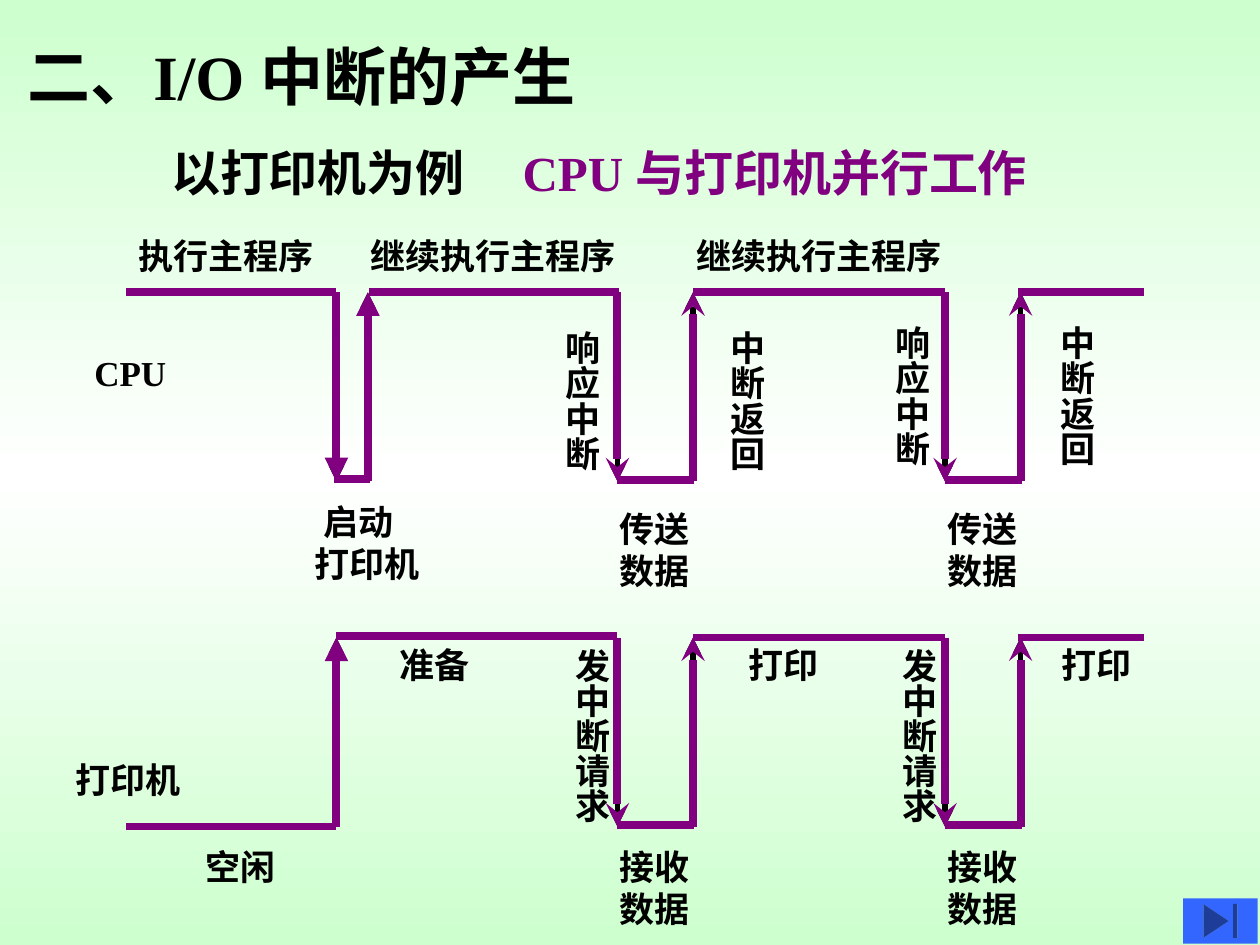
from copy import deepcopy

from lxml import etree
from pptx import Presentation
from pptx import util as u
from pptx.dml.color import RGBColor
from pptx.enum import shapes, text
from pptx.oxml.ns import qn

Inches = u.Inches
BLACK = RGBColor(0x00, 0x00, 0x00)
PURPLE = RGBColor(0x80, 0x00, 0x80)
BLUE = RGBColor(0x33, 0x66, 0xFF)
GREEN = RGBColor(0xCD, 0xFF, 0xCE)
WHITE = RGBColor(0xFF, 0xFF, 0xFF)
FONT = "Times New Roman"
CYCLES = (3.9, 6.5)
DEPTH = 1.5


def add_text(s, x, y, content, size=20, color=BLACK, width=None, vertical=False, indent=0):
    lines = content.split("\n")
    glyph = size / 72
    run = max(map(len, lines)) * glyph + 0.3
    w, h = width or run, len(lines) * glyph * 1.2 + 0.1
    if vertical:
        w, h = 0.53, run
    sp = s.shapes.add_textbox(Inches(x), Inches(y), Inches(w), Inches(h))
    tf = sp.text_frame
    tf.word_wrap = True
    tf.auto_size = text.MSO_AUTO_SIZE.NONE
    if vertical:
        tf._txBody.bodyPr.set("vert", "eaVert")
    for i, line in enumerate(lines):
        p = tf.paragraphs[0] if i == 0 else tf.add_paragraph()
        if indent and i == 0:
            p._p.get_or_add_pPr().set("marL", str(Inches(indent)))
        r = p.add_run()
        r.text = line
        r.font.name = FONT
        r.font.size = u.Pt(size)
        r.font.bold = True
        r.font.color.rgb = color
    return sp


def add_line(s, x1, y1, x2, y2, color, weight, head=None):
    line = s.shapes.add_connector(
        shapes.MSO_CONNECTOR.STRAIGHT, Inches(x1), Inches(y1), Inches(x2), Inches(y2))
    line.line.color.rgb = color
    line.line.width = u.Pt(weight)
    if head:
        etree.SubElement(line.line._get_or_add_ln(), qn("a:tailEnd"), type=head)
    etree.SubElement(line._element.spPr, qn("a:effectLst"))


def interrupt_trace(s, left, top, color, weight):
    bottom = top + DEPTH
    for offset in CYCLES:
        x = left + offset
        add_line(s, x, top, x, bottom, color, weight, "stealth")
        add_line(s, x + 0.6, bottom, x + 0.6, top, color, weight, "stealth")
        add_line(s, x, bottom - 0.01, x + 0.61, bottom - 0.01, color, weight)
    add_line(s, left + 4.5, top, left + 6.5, top, color, weight)
    add_line(s, left + 7.08, top, left + 8.08, top, color, weight)


def cpu_trace(s, left, top, color, weight, head):
    bottom = top + DEPTH
    start, resume = left + 1.67, left + 1.92
    add_line(s, left, top, start, top, color, weight)
    add_line(s, start, top, start, bottom, color, weight, head)
    add_line(s, resume, bottom, resume, top, color, weight, head)
    add_line(s, start - 0.02, bottom - 0.02, resume + 0.02, bottom - 0.02, color, weight)
    add_line(s, resume + 0.01, top, left + 3.91, top, color, weight)
    interrupt_trace(s, left, top, color, weight)


def printer_trace(s, left, top, color, weight, head):
    bottom = top + DEPTH
    start = left + 1.67
    add_line(s, left, bottom, start, bottom, color, weight)
    add_line(s, start, bottom, start, top, color, weight, head)
    add_line(s, start, top - 0.01, left + 3.9, top - 0.01, color, weight)
    interrupt_trace(s, left, top, color, weight)


def cpu_labels(s, left, top):
    add_text(s, left - 0.35, top + 0.42, "CPU", width=0.9)
    add_text(s, left, top - 0.51, "执行主程序")
    for x in (1.84, 4.43):
        add_text(s, left + x, top - 0.51, "继续执行主程序")
    for x, y in ((3.3, 0.21), (5.92, 0.17)):
        add_text(s, left + x, top + y, "响应中断", vertical=True)
        add_text(s, left + x + 1.31, top + y, "中断返回", vertical=True)
    add_text(s, left + 1.4, top + 1.6, "启动\n打印机", indent=0.07)
    for x in CYCLES:
        add_text(s, left + x - 0.08, top + 1.66, "传送\n数据")


def printer_labels(s, left, top):
    add_text(s, left - 0.5, top + 0.91, "打印机")
    add_text(s, left + 0.53, top + 1.6, "空闲")
    for x, label in ((2.07, "准备"), (4.84, "打印"), (7.33, "打印")):
        add_text(s, left + x, top, label)
    for x in CYCLES:
        add_text(s, left + x - 0.52, top - 0.01, "发中断请求", vertical=True)
        add_text(s, left + x - 0.08, top + 1.6, "接收\n数据")


def headings(s, left, top):
    add_text(s, left, top, "二、I/O 中断的产生", size=36, width=5.2)
    add_text(s, left + 1.14, top + 0.83, "以打印机为例", size=28)
    add_text(s, left + 3.93, top + 0.83, "CPU 与打印机并行工作", size=28,
             color=PURPLE, width=4.7)


def end_button(s, left, top, width, height):
    sp = s.shapes.add_shape(shapes.MSO_SHAPE.ACTION_BUTTON_END, Inches(left), Inches(top),
                            Inches(width), Inches(height))
    sp.shadow.inherit = False
    sp.fill.solid()
    sp.fill.fore_color.rgb = BLUE
    sp.line.fill.background()


def paint_background(s):
    fill = s.background.fill
    fill.gradient()
    fill.gradient_angle = 270
    stops = s._element.find(".//" + qn("a:gsLst"))
    stops.append(deepcopy(stops[-1]))
    for stop, position, color in zip(fill.gradient_stops, (0, 0.5, 1), (GREEN, WHITE, GREEN)):
        stop.position = position
        stop.color.rgb = color


def main():
    prs = Presentation()
    prs.slide_width, prs.slide_height = Inches(10), Inches(7.5)
    s = prs.slides.add_slide(prs.slide_layouts[6])
    paint_background(s)
    headings(s, 0.12, 0.25)
    regions = ((printer_trace, printer_labels, 5.06), (cpu_trace, cpu_labels, 2.32))
    for trace, labels, top in regions:
        trace(s, 1, top, BLACK, 3, "stealth")
        labels(s, 1, top)
    for trace, labels, top in regions:
        trace(s, 1, top, PURPLE, 4.5, "triangle")
    end_button(s, 9.39, 7.13, 0.59, 0.36)
    prs.save("out.pptx")


if __name__ == "__main__":
    main()
